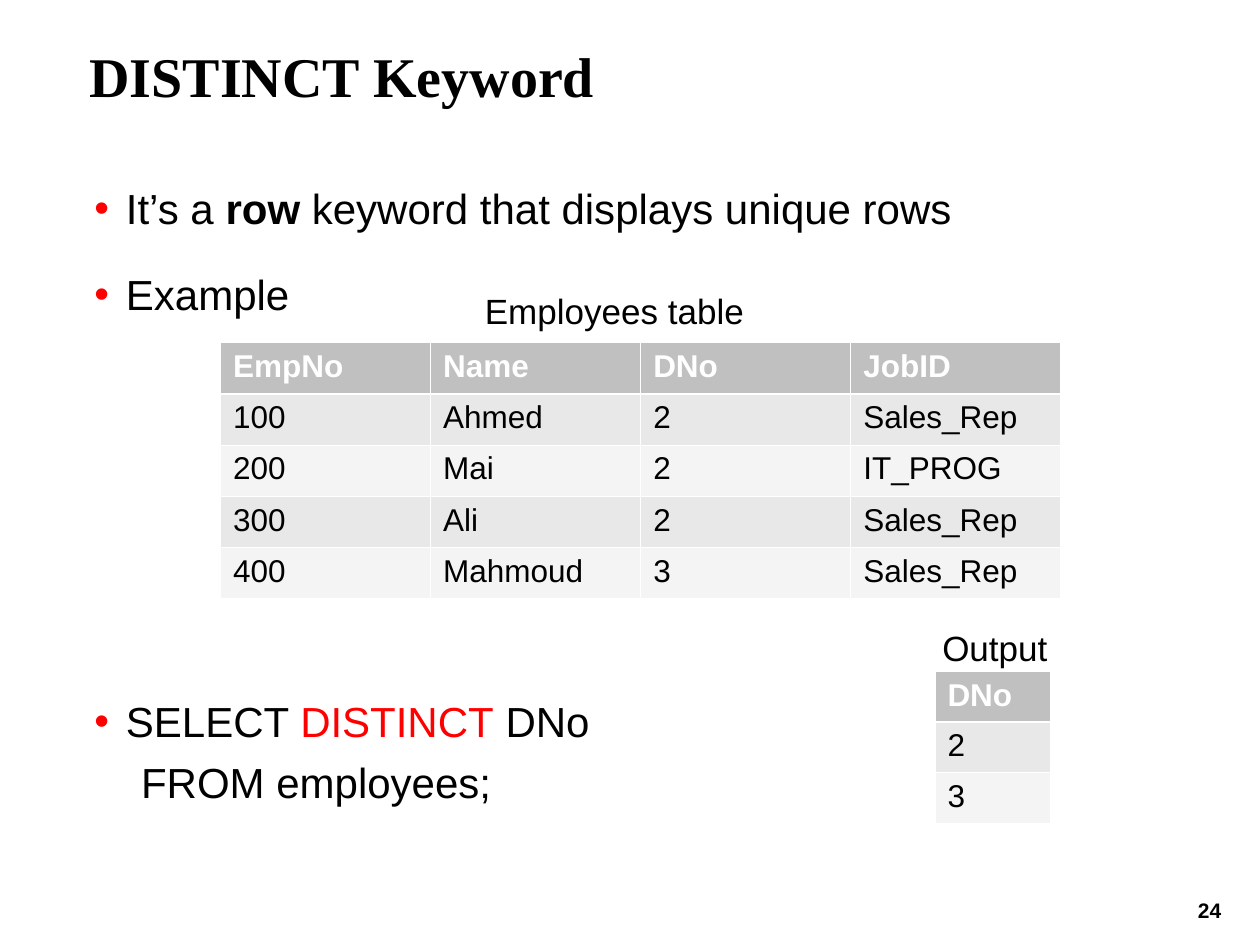
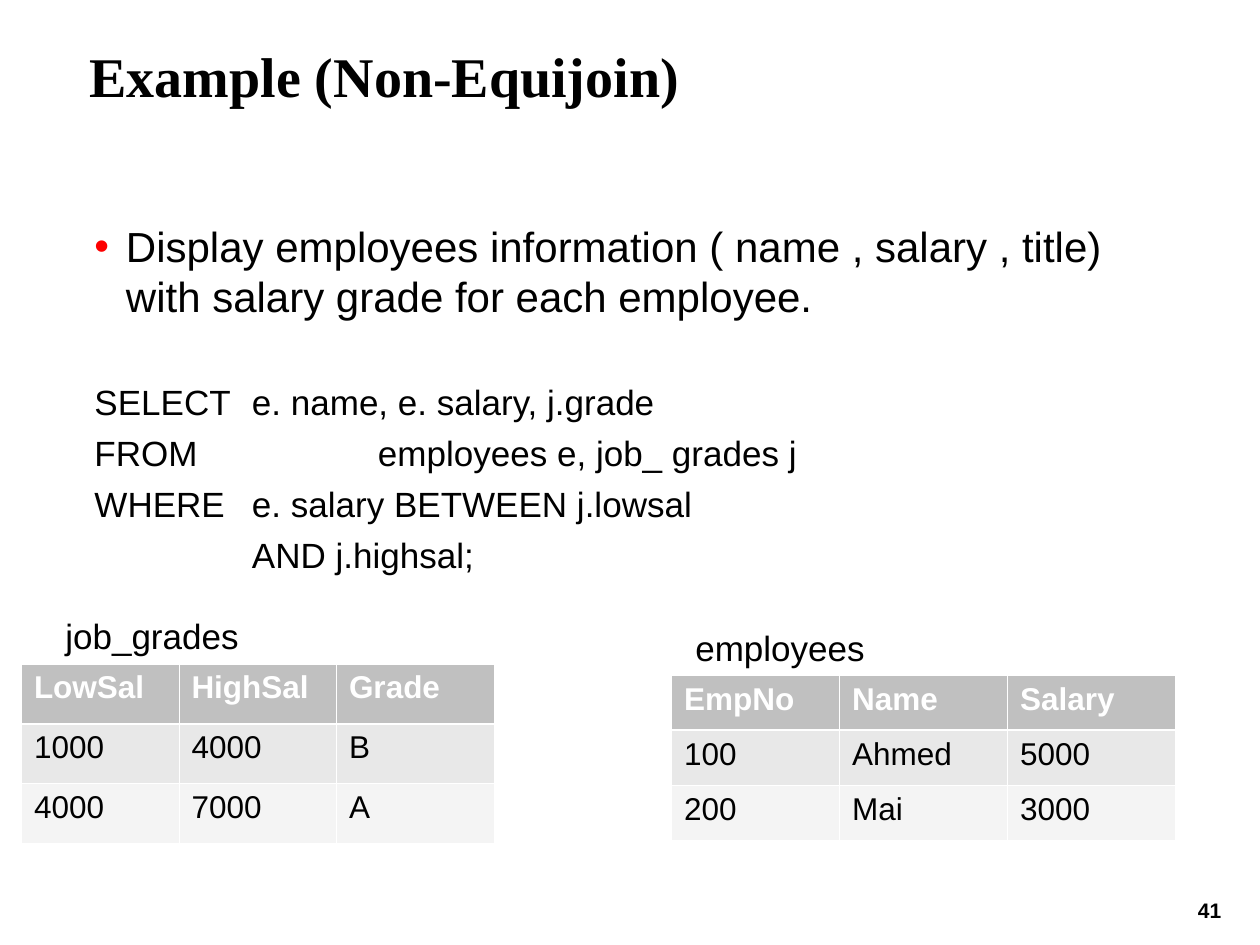
"""Build two SQL lecture slides with bulleted text and small data tables."""
from dataclasses import dataclass

from lxml import etree
from pptx import Presentation
from pptx import util as u
from pptx.dml.color import RGBColor
from pptx.enum import text
from pptx.oxml import ns

COLORS = {
    "ink": "000000",
    "accent": "FF0000",
    "bullet": "FD0000",
    "white": "FFFFFF",
    "header": "C0C0C0",
    "odd_row": "E8E8E8",
    "even_row": "F4F4F4",
}
BODY_FONT = "Arial"
TITLE_FONT = "Times New Roman"
INSET = (0.1, 0.05)
THIN, THICK = 0.45, 1.47


@dataclass
class Span:
    words: str
    color: str = "ink"
    bold: bool = False


@dataclass
class Line:
    spans: list[Span]
    size: float = 24
    before: float = 0
    spacing: float | None = None
    left: float = 0
    hanging: float = 0
    bullet: bool = False
    centered: bool = False
    font: str = BODY_FONT


@dataclass
class Grid:
    left: float
    top: float
    width: float
    height: float
    rows: list[list[str]]


@dataclass
class Caption:
    words: str
    left: float
    top: float
    width: float


def write_span(para, words: str, *, size: float, color: str = "ink",
               bold: bool = False, font: str = BODY_FONT) -> None:
    span = para.add_run()
    span.text = words
    span.font.name = font
    span.font.size = u.Pt(size)
    span.font.bold = bold
    span.font.color.rgb = RGBColor.from_string(COLORS[color])


def add_child(parent, tag: str, **attributes: str):
    return etree.SubElement(parent, ns.qn(tag), attributes)


def write_line(para, line: Line) -> None:
    properties = para._p.get_or_add_pPr()
    if line.left:
        properties.set("marL", str(u.Inches(line.left)))
        properties.set("indent", str(-u.Inches(line.hanging)))
    if line.bullet:
        tint = add_child(properties, "a:buClr")
        add_child(tint, "a:srgbClr", val=COLORS["bullet"])
        add_child(properties, "a:buFont", typeface=BODY_FONT)
        add_child(properties, "a:buChar", char="•")
    para.space_before = u.Pt(line.before)
    if line.spacing:
        para.line_spacing = line.spacing
    if line.centered:
        para.alignment = text.PP_ALIGN.CENTER
    for span in line.spans:
        write_span(para, span.words, size=line.size, color=span.color,
                   bold=span.bold, font=line.font)


def add_text(page, left: float, top: float, width: float, height: float,
             lines: list[Line], inset: tuple[float, float] = (0, 0)) -> None:
    box = page.shapes.add_textbox(u.Inches(left), u.Inches(top),
                                  u.Inches(width), u.Inches(height))
    frame = box.text_frame
    frame.word_wrap = True
    frame.margin_left = frame.margin_right = u.Inches(inset[0])
    frame.margin_top = frame.margin_bottom = u.Inches(inset[1])
    for index, line in enumerate(lines):
        para = frame.add_paragraph() if index else frame.paragraphs[0]
        write_line(para, line)


def add_caption(page, caption: Caption) -> None:
    add_text(page, caption.left, caption.top, caption.width, 0.44,
             [Line([Span(caption.words)], size=20)], INSET)


def set_borders(cell, top: float, bottom: float) -> None:
    properties = cell._tc.get_or_add_tcPr()
    widths = {"L": THIN, "R": THIN, "T": top, "B": bottom}
    for side, width in widths.items():
        border = add_child(properties, f"a:ln{side}", w=str(u.Pt(width)))
        fill = add_child(border, "a:solidFill")
        add_child(fill, "a:srgbClr", val=COLORS["white"])


def add_grid(page, grid: Grid) -> None:
    row_count, column_count = len(grid.rows), len(grid.rows[0])
    table = page.shapes.add_table(
        row_count, column_count, u.Inches(grid.left), u.Inches(grid.top),
        u.Inches(grid.width), u.Inches(grid.height)).table
    for column in table.columns:
        column.width = u.Inches(grid.width / column_count)
    for row_index, values in enumerate(grid.rows):
        table.rows[row_index].height = u.Inches(grid.height / row_count)
        is_header = row_index == 0
        fill = "header" if is_header else ("odd_row" if row_index % 2 else "even_row")
        for column_index, value in enumerate(values):
            cell = table.cell(row_index, column_index)
            set_borders(cell, THICK if row_index == 1 else THIN,
                        THICK if is_header else THIN)
            cell.fill.solid()
            cell.fill.fore_color.rgb = RGBColor.from_string(COLORS[fill])
            write_span(cell.text_frame.paragraphs[0], value, size=18,
                       color="white" if is_header else "ink", bold=is_header)


def add_page(deck, title: str, number: int):
    page = deck.slides.add_slide(deck.slide_layouts[6])
    add_text(page, 9.35, 7.1, 0.5, 0.28,
             [Line([Span(str(number), bold=True)], size=12, spacing=0.9,
                   centered=True)], INSET)
    add_text(page, 0.71, 0.33, 8.29, 1.03,
             [Line([Span(title, bold=True)], size=32, font=TITLE_FONT)])
    return page


def bullet(*spans: Span, before: float = 0, spacing: float | None = None) -> Line:
    return Line(list(spans), before=before, spacing=spacing,
                left=0.25, hanging=0.25, bullet=True)


def clause(words: str, before: float = 5) -> Line:
    return Line([Span(words)], size=20, before=before, left=0.25, hanging=0.25)


def build_distinct(deck) -> None:
    page = add_page(deck, "DISTINCT Keyword", 24)
    add_text(page, 0.75, 1.25, 8.24, 5.25, [
        bullet(Span("It’s a "), Span("row", bold=True),
               Span(" keyword that displays unique rows"), spacing=1.5),
        bullet(Span("Example"), before=6, spacing=1.5),
        bullet(Span("SELECT "), Span("DISTINCT", "accent"), Span(" DNo"), before=215),
        Line([Span("FROM employees;")], before=6, left=0.37),
    ])
    add_caption(page, Caption("Employees table", 3.75, 2.25, 2.5))
    add_grid(page, Grid(7.42, 5.33, 0.92, 1.2, [["DNo"], ["2"], ["3"]]))
    add_caption(page, Caption("Output", 7.38, 4.92, 1.08))
    add_grid(page, Grid(1.75, 2.72, 6.67, 2.03, [
        ["EmpNo", "Name", "DNo", "JobID"],
        ["100", "Ahmed", "2", "Sales_Rep"],
        ["200", "Mai", "2", "IT_PROG"],
        ["300", "Ali", "2", "Sales_Rep"],
        ["400", "Mahmoud", "3", "Sales_Rep"],
    ]))


def build_non_equijoin(deck) -> None:
    page = add_page(deck, "Example (Non-Equijoin)", 41)
    add_text(page, 0.75, 1.75, 8.24, 4.75, [
        bullet(Span("Display employees information ( name , salary , title) "
                    "with salary grade for each employee.")),
        clause("SELECT\te. name, e. salary, j.grade", before=34),
        clause("FROM\t\t\temployees e, job_ grades j"),
        clause("WHERE\te. salary BETWEEN j.lowsal"),
        Line([Span("AND j.highsal;")], size=20, before=5, left=1.25),
    ])
    add_grid(page, Grid(5.33, 5.36, 4, 1.31, [
        ["EmpNo", "Name", "Salary"],
        ["100", "Ahmed", "5000"],
        ["200", "Mai", "3000"],
    ]))
    add_grid(page, Grid(0.17, 5.27, 3.75, 1.42, [
        ["LowSal", "HighSal", "Grade"],
        ["1000", "4000", "B"],
        ["4000", "7000", "A"],
    ]))
    add_caption(page, Caption("job_grades", 0.42, 4.83, 1.62))
    add_caption(page, Caption("employees", 5.42, 4.92, 1.6))


def main() -> None:
    deck = Presentation()
    deck.slide_width, deck.slide_height = u.Inches(10), u.Inches(7.5)
    build_distinct(deck)
    build_non_equijoin(deck)
    deck.save("out.pptx")


if __name__ == "__main__":
    main()
